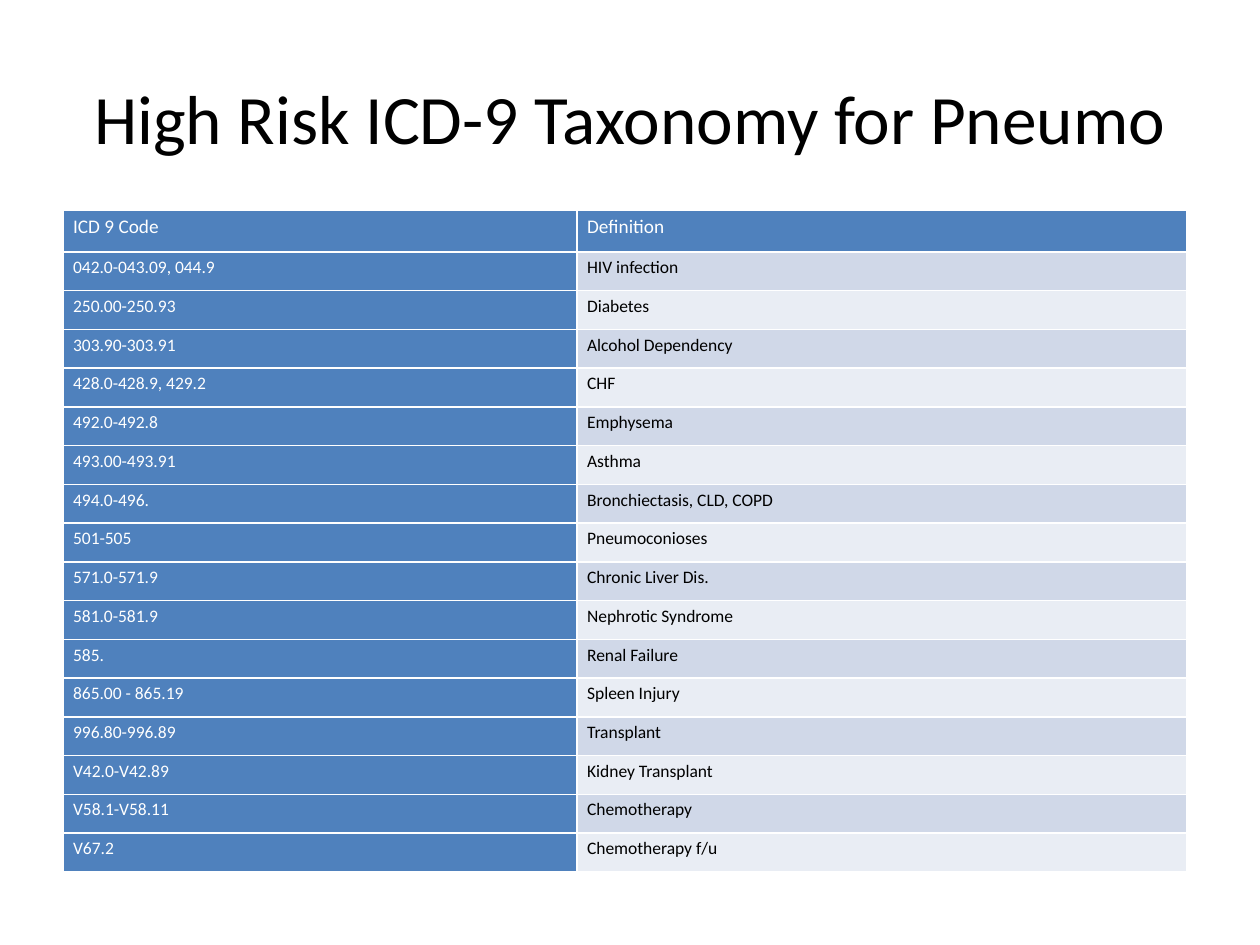
"""Build the slide that lists high-risk ICD-9 codes for pneumococcal disease."""
from dataclasses import dataclass
from typing import NamedTuple

from lxml.etree import SubElement
from pptx import Presentation
from pptx.dml.color import RGBColor
from pptx.enum.text import MSO_ANCHOR, PP_ALIGN
from pptx.oxml.ns import qn
from pptx.slide import Slide
from pptx.table import Table, _Cell
from pptx.text.text import Font
from pptx.util import Inches, Pt


@dataclass(frozen=True)
class Theme:
    font: str = "Calibri"
    white: str = "FFFFFF"
    black: str = "000000"
    blue: str = "4F81BD"
    bands: tuple[str, str] = ("D0D8E8", "E9EDF4")
    title_size: float = 39.6
    header_size: float = 11
    body_size: float = 10
    border_width: float = 1


class Diagnosis(NamedTuple):
    code: str
    definition: str


class CellStyle(NamedTuple):
    fill: str
    color: str
    size: float
    space_after: float


THEME = Theme()
HEADER = Diagnosis("ICD 9 Code", "Definition")
DIAGNOSES = [
    Diagnosis("042.0-043.09, 044.9", "HIV infection"),
    Diagnosis("250.00-250.93", "Diabetes"),
    Diagnosis("303.90-303.91", "Alcohol Dependency"),
    Diagnosis("428.0-428.9, 429.2", "CHF"),
    Diagnosis("492.0-492.8", "Emphysema"),
    Diagnosis("493.00-493.91", "Asthma"),
    Diagnosis("494.0-496.", "Bronchiectasis, CLD, COPD"),
    Diagnosis("501-505", "Pneumoconioses"),
    Diagnosis("571.0-571.9", "Chronic Liver Dis."),
    Diagnosis("581.0-581.9", "Nephrotic Syndrome"),
    Diagnosis("585.", "Renal Failure"),
    Diagnosis("865.00 - 865.19", "Spleen Injury"),
    Diagnosis("996.80-996.89", "Transplant"),
    Diagnosis("V42.0-V42.89", "Kidney Transplant"),
    Diagnosis("V58.1-V58.11", "Chemotherapy"),
    Diagnosis("V67.2", "Chemotherapy f/u"),
]
COLUMN_WIDTHS = (4.08, 4.84)
TABLE_HEIGHT = 5.25
HEADER_HEIGHT = 0.33


def format_font(font: Font, size: float, color: str) -> None:
    font.name = THEME.font
    font.size = Pt(size)
    font.bold = False
    font.color.rgb = RGBColor.from_string(color)


def add_borders(cell: _Cell) -> None:
    properties = cell._tc.get_or_add_tcPr()
    for side in ("a:lnL", "a:lnR", "a:lnT", "a:lnB"):
        line = SubElement(properties, qn(side), w=str(Pt(THEME.border_width)))
        fill = SubElement(line, qn("a:solidFill"))
        SubElement(fill, qn("a:srgbClr"), val=THEME.white)


def fill_cell(cell: _Cell, text: str, style: CellStyle) -> None:
    add_borders(cell)
    cell.fill.solid()
    cell.fill.fore_color.rgb = RGBColor.from_string(style.fill)
    cell.margin_left = cell.margin_right = Inches(0.08)
    cell.margin_top = Inches(0.04)
    cell.margin_bottom = 0
    cell.text_frame.text = text
    paragraph = cell.text_frame.paragraphs[0]
    paragraph.space_after = Pt(style.space_after)
    format_font(paragraph.runs[0].font, style.size, style.color)


def choose_style(row: int, column: int) -> CellStyle:
    if row == 0:
        return CellStyle(THEME.blue, THEME.white, THEME.header_size, 1)
    if column == 0:
        return CellStyle(THEME.blue, THEME.white, THEME.body_size, 2)
    return CellStyle(THEME.bands[(row - 1) % 2], THEME.black, THEME.body_size, 2)


def set_title(slide: Slide, text: str) -> None:
    title = slide.shapes.title
    title.left, title.top = Inches(0.5), Inches(0.3)
    title.width, title.height = Inches(9), Inches(1.25)
    title.text_frame.text = text
    title.text_frame.word_wrap = True
    title.text_frame.vertical_anchor = MSO_ANCHOR.MIDDLE
    paragraph = title.text_frame.paragraphs[0]
    paragraph.alignment = PP_ALIGN.CENTER
    format_font(paragraph.runs[0].font, THEME.title_size, THEME.black)


def add_diagnosis_table(slide: Slide) -> Table:
    rows = [HEADER, *DIAGNOSES]
    table = slide.shapes.add_table(
        len(rows), len(COLUMN_WIDTHS), Inches(0.5), Inches(1.67),
        Inches(sum(COLUMN_WIDTHS)), Inches(TABLE_HEIGHT),
    ).table
    table.horz_banding = False
    for column, width in zip(table.columns, COLUMN_WIDTHS):
        column.width = Inches(width)
    body_height = (TABLE_HEIGHT - HEADER_HEIGHT) / len(DIAGNOSES)
    for row_index, diagnosis in enumerate(rows):
        height = body_height if row_index else HEADER_HEIGHT
        table.rows[row_index].height = Inches(height)
        for column_index, text in enumerate(diagnosis):
            style = choose_style(row_index, column_index)
            fill_cell(table.cell(row_index, column_index), text, style)
    return table


def main() -> None:
    presentation = Presentation()
    presentation.slide_width = Inches(10)
    presentation.slide_height = Inches(7.5)
    slide = presentation.slides.add_slide(presentation.slide_layouts[5])
    set_title(slide, "High Risk ICD-9 Taxonomy for Pneumo")
    add_diagnosis_table(slide)
    presentation.save("out.pptx")


if __name__ == "__main__":
    main()
